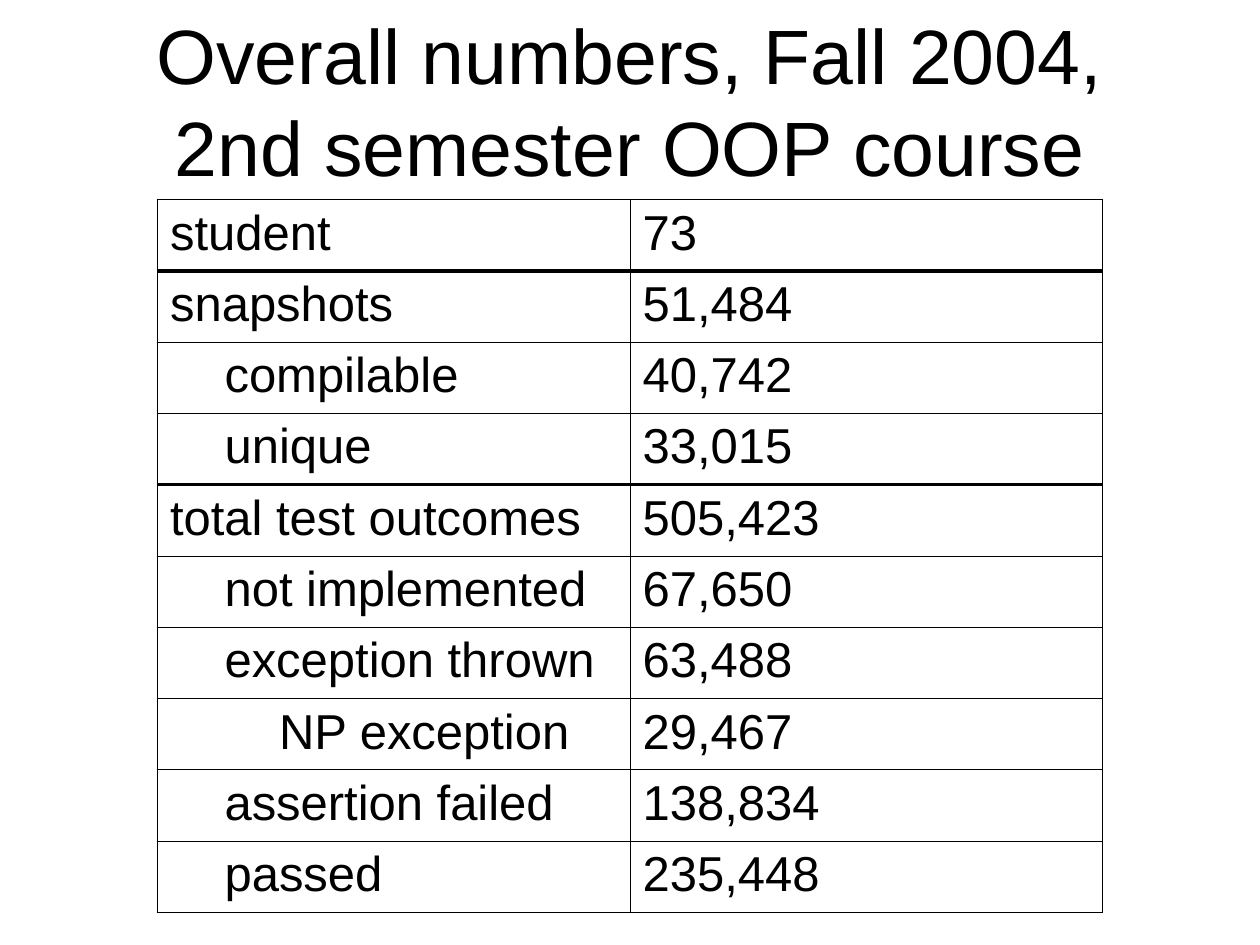
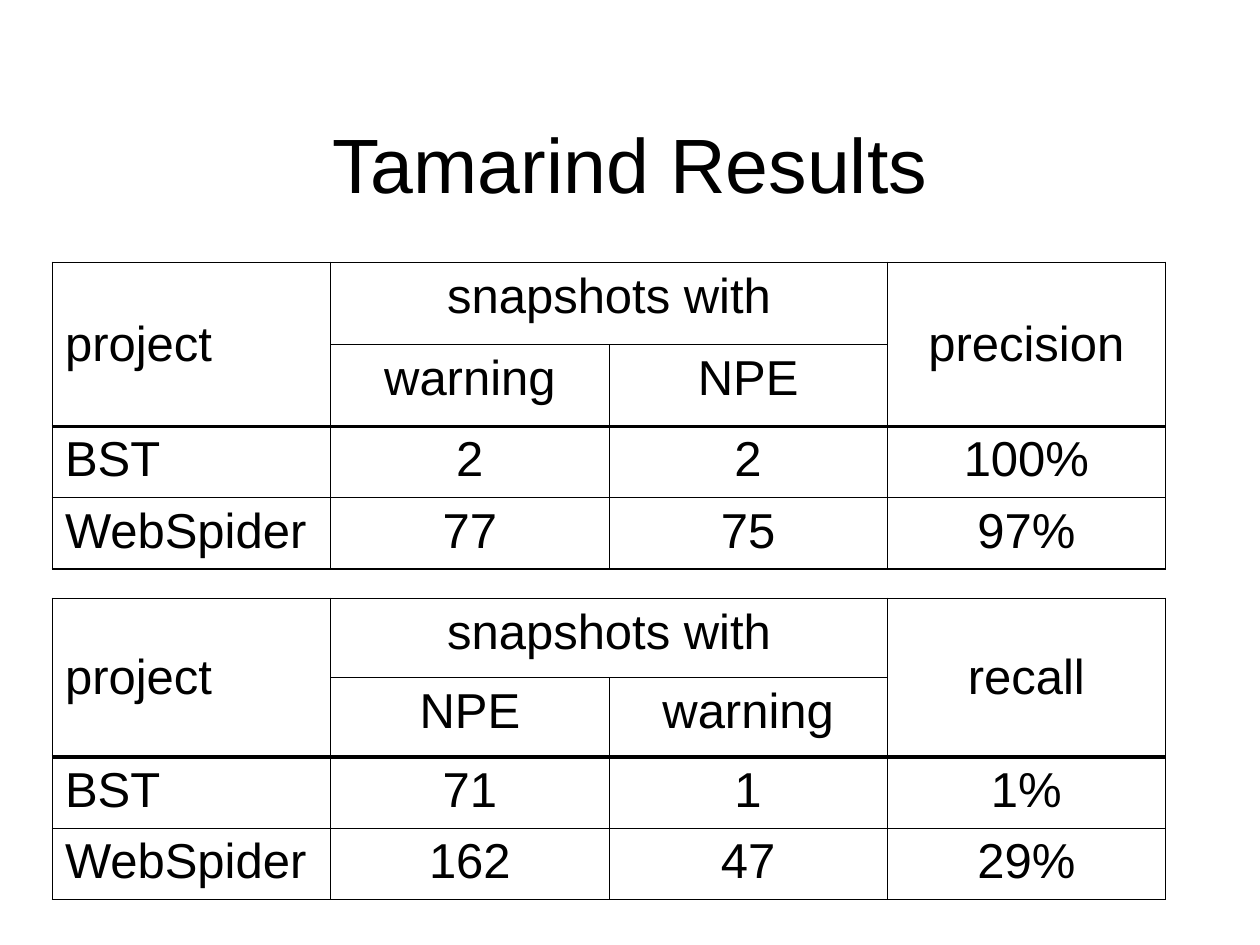
import pptx
import pptx.util
import pptx.dml.color
import pptx.enum.text
import lxml.etree
from pptx.util import Pt

TOTALS = [
    (0, "student", "73"),
    (0, "snapshots", "51,484"),
    (1, "compilable", "40,742"),
    (1, "unique", "33,015"),
    (0, "total test outcomes", "505,423"),
    (1, "not implemented", "67,650"),
    (1, "exception thrown", "63,488"),
    (2, "NP exception", "29,467"),
    (1, "assertion failed", "138,834"),
    (1, "passed", "235,448"),
]
PRECISION = [
    ["project", "snapshots with", "", "precision"],
    ["", "warning", "NPE", ""],
    ["BST", "2", "2", "100%"],
    ["WebSpider", "77", "75", "97%"],
]
RECALL = [
    ["project", "snapshots with", "", "recall"],
    ["", "NPE", "warning", ""],
    ["BST", "71", "1", "1%"],
    ["WebSpider", "162", "47", "29%"],
]
TITLES = {
    "totals": "Overall numbers, Fall 2004, 2nd semester OOP course",
    "results": "Tamarind Results",
}

COLORS = {"ink": "000000", "paper": "FFFFFF"}
FONT = "Arial"
TITLE_SIZE, CELL_SIZE = 44, 28
THIN, EDGE, HEAVY = 0.45, 1.08, 2.21
ROW_H = 40.75
INDENT = 31.14
HEADER_MERGES = [((0, 0), (1, 0)), ((0, 1), (0, 2)), ((0, 3), (1, 3))]
NO_STYLE = "{2D5ABB26-0587-4C30-8999-92F81FD0307C}"
ALIGN = pptx.enum.text.PP_ALIGN
ANCHOR = pptx.enum.text.MSO_ANCHOR


def style_runs(p, size):
    for r in p.runs:
        r.font.name = FONT
        r.font.size = Pt(size)
        r.font.color.rgb = pptx.dml.color.RGBColor.from_string(COLORS["ink"])


def add_slide(prs, title, top):
    s = prs.slides.add_slide(prs.slide_layouts[5])
    s.background.fill.solid()
    s.background.fill.fore_color.rgb = pptx.dml.color.RGBColor.from_string(COLORS["paper"])
    sp = s.shapes.title
    sp.left, sp.top, sp.width, sp.height = Pt(54), Pt(top), Pt(612), Pt(90)
    tf = sp.text_frame
    tf.text = title
    tf.auto_size = pptx.enum.text.MSO_AUTO_SIZE.NONE
    tf.vertical_anchor = ANCHOR.MIDDLE
    tf.paragraphs[0].alignment = ALIGN.CENTER
    style_runs(tf.paragraphs[0], TITLE_SIZE)
    return s


def set_borders(cell, widths):
    tcPr = cell._tc.get_or_add_tcPr()
    for i, (side, width) in enumerate(widths.items()):
        ln = pptx.oxml.parse_xml(
            f'<a:ln{side} xmlns:a="http://schemas.openxmlformats.org/drawingml/2006/main" '
            f'w="{Pt(width)}"><a:solidFill><a:srgbClr val="{COLORS["ink"]}"/></a:solidFill></a:ln{side}>'
        )
        tcPr.insert(i, ln)


def add_grid(s, rows, left, top, col_w, heights, heavy_above, merges=(), centred=False):
    n_rows, n_cols = len(rows), len(rows[0])
    shape = s.shapes.add_table(n_rows, n_cols, Pt(left), Pt(top), Pt(col_w * n_cols), Pt(sum(heights)))
    table = shape.table
    table.first_row = table.horz_banding = False
    table._tbl.tblPr[0].text = NO_STYLE
    for col in table.columns:
        col.width = Pt(col_w)
    for row, height in zip(table.rows, heights):
        row.height = Pt(height)
    for first, last in merges:
        table.cell(*first).merge(table.cell(*last))

    def row_line(i):
        return EDGE if i in (0, n_rows) else HEAVY if i in heavy_above else THIN

    def col_line(j):
        return EDGE if j in (0, n_cols) else THIN

    for i, texts in enumerate(rows):
        for j, text in enumerate(texts):
            cell = table.cell(i, j)
            cell.fill.background()
            if cell.is_spanned:
                continue
            height = cell.span_height if cell.is_merge_origin else 1
            width = cell.span_width if cell.is_merge_origin else 1
            cell.vertical_anchor = ANCHOR.MIDDLE if height > 1 else ANCHOR.TOP
            p = cell.text_frame.paragraphs[0]
            p.text = text
            p.space_before = Pt(7)
            p.alignment = ALIGN.CENTER if centred and j else ALIGN.LEFT
            style_runs(p, CELL_SIZE)
            set_borders(cell, {"L": col_line(j), "R": col_line(j + width),
                               "T": row_line(i), "B": row_line(i + height)})
    return table


def totals_slide(prs):
    s = add_slide(prs, TITLES["totals"], 12)
    rows = [(label, value) for _, label, value in TOTALS]
    table = add_grid(s, rows, 90, 114, 270, [ROW_H] * len(rows), heavy_above=(1, 4))
    for i, (level, _, _) in enumerate(TOTALS):
        table.cell(i, 0).margin_left = Pt(7.2 + level * INDENT)


def results_slide(prs):
    s = add_slide(prs, TITLES["results"], 48)
    for rows, top, header_h in ((PRECISION, 150, 46.8), (RECALL, 342, 45.3)):
        heights = [header_h] * 2 + [ROW_H] * 2
        add_grid(s, rows, 30, top, 159, heights, heavy_above=(2,), merges=HEADER_MERGES, centred=True)


def main():
    prs = pptx.Presentation()
    prs.slide_width, prs.slide_height = Pt(720), Pt(540)
    totals_slide(prs)
    results_slide(prs)
    prs.save("out.pptx")


if __name__ == "__main__":
    main()
